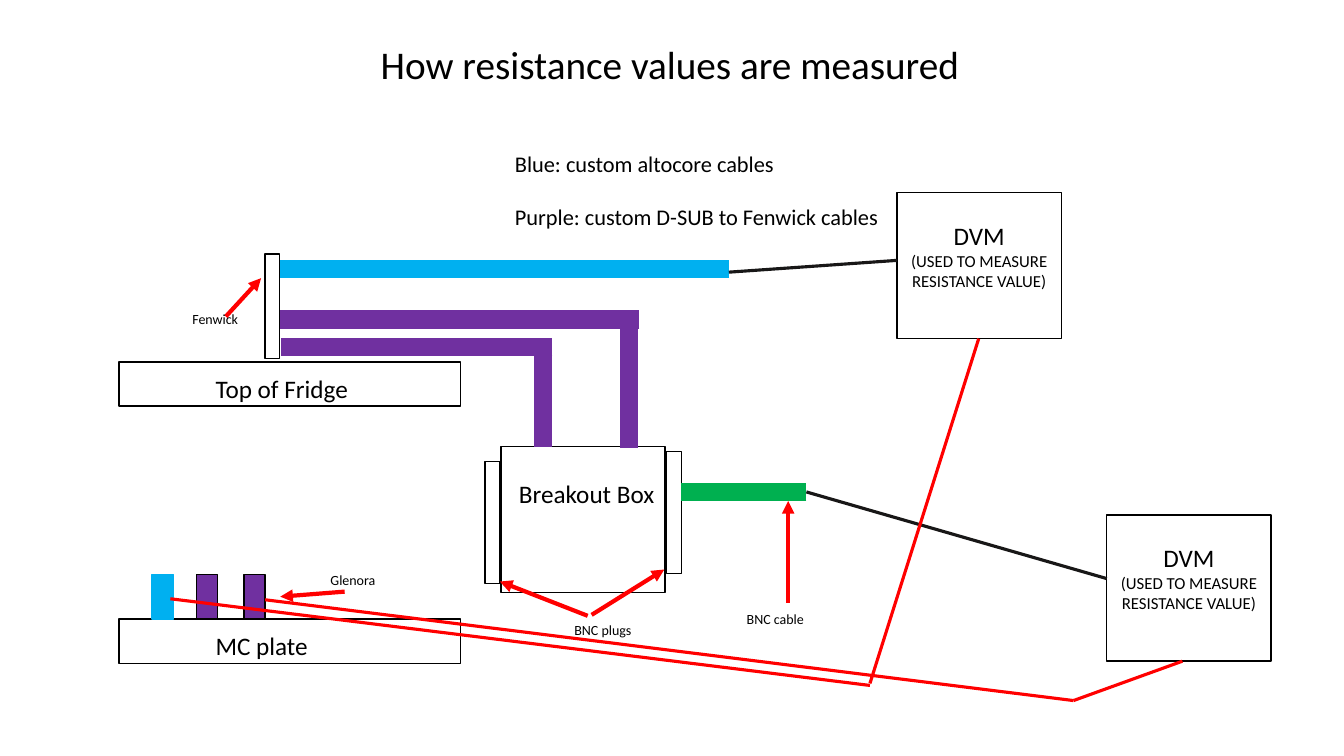
import pptx
import pptx.dml.color
import pptx.enum.shapes
import pptx.enum.text
import pptx.oxml
import pptx.oxml.ns
import pptx.util

Pt = pptx.util.Pt
Anchor = pptx.enum.text.MSO_ANCHOR
Align = pptx.enum.text.PP_ALIGN

BLACK, WHITE, RED, WIRE = "000000", "FFFFFF", "FF0000", "181717"
BLUE, PURPLE, GREEN = "00B0F0", "7030A0", "00B050"
CABLE_WIDTH, ARROW_WIDTH, WIRE_WIDTH = 13, 3, 2.25
UNIT_WIDTH, UNIT_HEIGHT = 117.4, 104.4


def color(value):
    return pptx.dml.color.RGBColor.from_string(value)


def apply_format(target, values):
    for name, value in values.items():
        setattr(target, name, value)


def add_box(page, left, top, width, height, fill=WHITE, line=BLACK):
    box = page.shapes.add_shape(
        pptx.enum.shapes.MSO_SHAPE.RECTANGLE,
        Pt(left), Pt(top), Pt(width), Pt(height))
    box.shadow.inherit = False
    box.fill.solid()
    box.fill.fore_color.rgb = color(fill)
    box.line.color.rgb = color(line)
    box.line.width = Pt(1)


def add_text(page, left, top, width, height, lines, anchor=Anchor.TOP,
             align=Align.LEFT, gap=0):
    box = page.shapes.add_textbox(Pt(left), Pt(top), Pt(width), Pt(height))
    apply_format(box.text_frame, {"word_wrap": True, "vertical_anchor": anchor})
    for index, (text, size) in enumerate(lines):
        para = box.text_frame.paragraphs[0] if index == 0 else box.text_frame.add_paragraph()
        apply_format(para, {"alignment": align, "space_before": Pt(gap if index else 0)})
        span = para.add_run()
        span.text = text
        apply_format(span.font, {"name": "Calibri", "size": Pt(size)})
        span.font.color.rgb = color(BLACK)


def add_label(page, left, top, height, text):
    add_text(page, left, top, UNIT_WIDTH, height, [(text, 10)], Anchor.BOTTOM)


def add_line(page, start, end, line, width, arrow=False):
    connector = page.shapes.add_connector(
        pptx.enum.shapes.MSO_CONNECTOR.STRAIGHT, *map(Pt, start + end))
    connector.line.color.rgb = color(line)
    connector.line.width = Pt(width)
    if arrow:
        outline = connector.line._get_or_add_ln()
        head = pptx.oxml.parse_xml(
            f'<a:tailEnd {pptx.oxml.ns.nsdecls("a")} type="triangle"/>')
        outline.append(head)
    effects = pptx.oxml.parse_xml(f'<a:effectLst {pptx.oxml.ns.nsdecls("a")}/>')
    connector._element.spPr.append(effects)


def add_arrow(page, start, end):
    add_line(page, start, end, RED, ARROW_WIDTH, arrow=True)


def add_plate(page, top, text):
    add_box(page, 85, top, 244.1, 31.7)
    add_text(page, 146.9, top + 4.3, 199.4, 28.8, [(text, 18)])


def add_meter(page, left, top):
    add_box(page, left, top, UNIT_WIDTH, UNIT_HEIGHT)
    add_text(page, left, top + 16.2, UNIT_WIDTH, 58.3,
             [("DVM", 18), ("(USED TO MEASURE RESISTANCE VALUE)", 12)],
             align=Align.CENTER)


def add_fridge(page):
    add_plate(page, 258.5, "Top of Fridge")
    add_plate(page, 442.1, "MC plate")
    for left, fill, line in ((108.7, BLUE, BLUE), (140.4, PURPLE, BLACK), (174.2, PURPLE, BLACK)):
        add_box(page, left, 410.4, 15.1, 31.7, fill, line)
    add_arrow(page, (246.2, 422.6), (200.2, 426.2))
    add_label(page, 229, 395.3, 28.8, "Glenora")
    add_box(page, 189.4, 181.4, 10.1, 74.9)
    add_arrow(page, (161.3, 226.1), (186.5, 198.7))
    add_label(page, 130.3, 218.2, 19.4, "Fenwick")


def add_breakout(page):
    add_box(page, 357.8, 319, UNIT_WIDTH, UNIT_HEIGHT)
    add_text(page, 363.6, 338.4, UNIT_WIDTH, 28.8, [("Breakout Box", 18)])
    for left, top in ((475.9, 322.6), (346.3, 329.8)):
        add_box(page, left, top, 10.8, 87.1)
    add_arrow(page, (419.8, 439.9), (357.1, 415.4))
    add_arrow(page, (422.6, 439.2), (474.5, 406.8))
    add_label(page, 403.2, 430.6, 28.8, "BNC plugs")


def add_cables(page):
    for start, end, line in (
            ((520.6, 192.2), (200.2, 192.2), BLUE),
            ((456.5, 228.2), (200.2, 228.2), PURPLE),
            ((449.3, 319.7), (449.3, 228.2), PURPLE),
            ((394.6, 247.7), (200.9, 247.7), PURPLE),
            ((388.1, 319), (388.1, 244.8), PURPLE),
            ((576, 351.4), (486.7, 351.4), GREEN)):
        add_line(page, start, end, line, CABLE_WIDTH)
    add_arrow(page, (563, 430.6), (563, 357.8))
    add_label(page, 526.3, 432, 19.4, "BNC cable")


def add_wires(page):
    for start, end, line in (
            ((790.6, 413.3), (576, 351.4), WIRE),
            ((640.8, 186), (520.6, 194.4), WIRE),
            ((766.8, 500.4), (189.4, 428.4), RED),
            ((844.6, 472.3), (766.8, 500.4), RED),
            ((621.4, 489.6), (121.7, 427.7), RED),
            ((699.1, 241.9), (621.4, 488.2), RED)):
        add_line(page, start, end, line, WIRE_WIDTH)


def main():
    deck = pptx.Presentation()
    apply_format(deck, {"slide_width": Pt(960), "slide_height": Pt(540)})
    page = deck.slides.add_slide(deck.slide_layouts[6])
    add_fridge(page)
    add_breakout(page)
    add_cables(page)
    add_text(page, 360.7, 103.7, 320.4, 65.5,
             [("Blue: custom altocore cables", 16),
              ("Purple: custom D-SUB to Fenwick cables", 16)], gap=19)
    add_meter(page, 790.6, 367.9)
    add_meter(page, 640.8, 137.5)
    add_wires(page)
    add_text(page, 73.4, 25.2, 810, 74.9,
             [("How resistance values are measured", 28)], align=Align.CENTER)
    deck.save("out.pptx")


if __name__ == "__main__":
    main()
